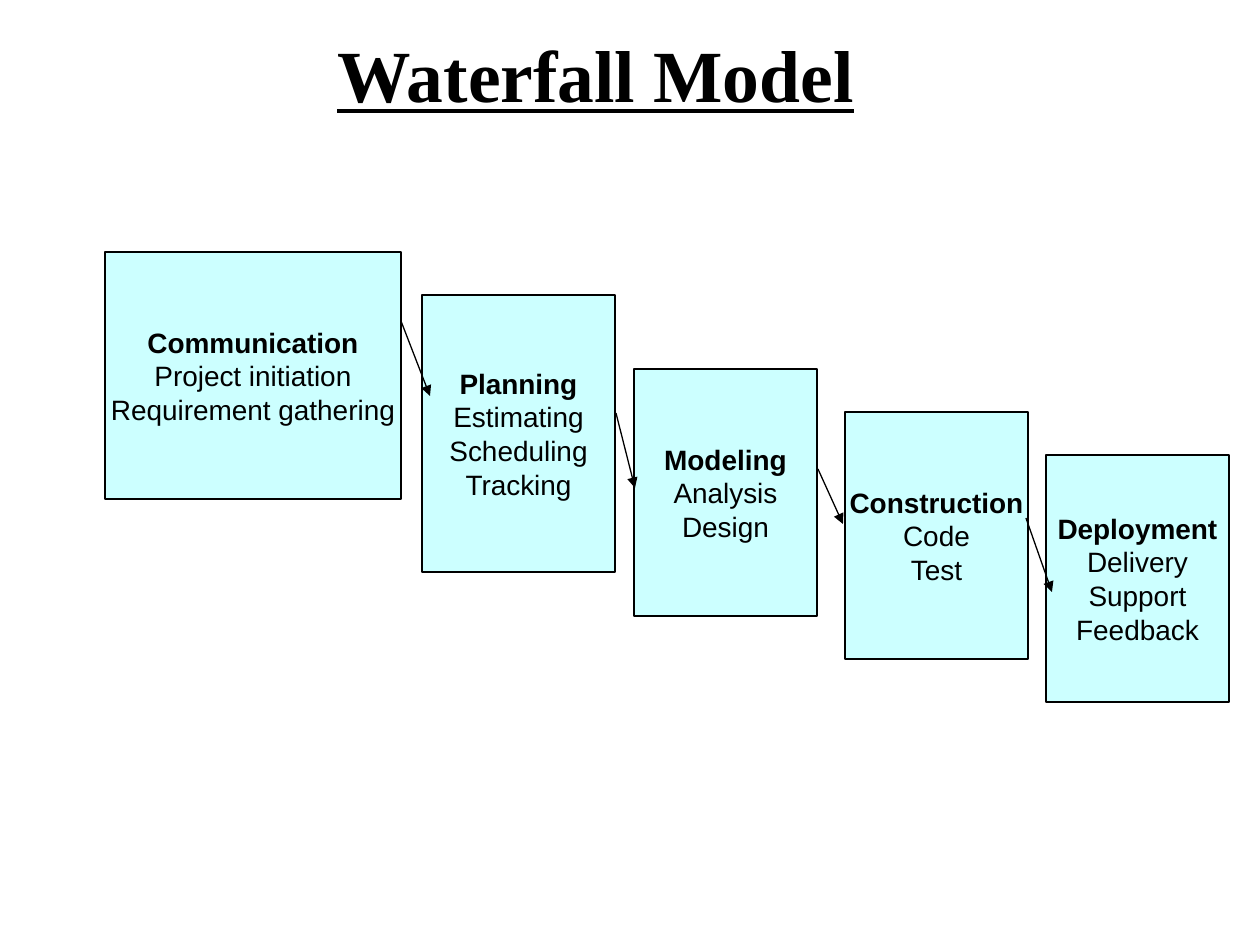
from lxml import etree
from pptx import Presentation
from pptx import util as u
from pptx.dml.color import RGBColor
from pptx.enum import shapes, text
from pptx.oxml.ns import qn

BLACK = RGBColor(0x00, 0x00, 0x00)
WHITE = RGBColor(0xFF, 0xFF, 0xFF)
PALE_CYAN = RGBColor(0xCC, 0xFF, 0xFF)
LINE_WIDTH = u.Pt(0.75)
PX_PER_INCH = 126

STAGES = [
    ((0, 0, 296, 247), "Communication", ["Project initiation", "Requirement gathering"]),
    ((317, 43, 193, 277), "Planning", ["Estimating", "Scheduling", "Tracking"]),
    ((529, 117, 183, 247), "Modeling", ["Analysis", "Design"]),
    ((740, 160, 183, 247), "Construction", ["Code", "Test"]),
    ((941, 203, 183, 247), "Deployment", ["Delivery", "Support", "Feedback"]),
]
ARROWS = [
    (296, 69, 325, 144),
    (511, 161, 530, 236),
    (713, 217, 738, 272),
    (921, 266, 947, 340),
]


def px(*lengths):
    return [u.Inches(length / PX_PER_INCH) for length in lengths]


def add_title(slide, box, title):
    shape = slide.shapes.add_textbox(*px(*box))
    frame = shape.text_frame
    frame.word_wrap = False
    frame.auto_size = text.MSO_AUTO_SIZE.SHAPE_TO_FIT_TEXT
    paragraph = frame.paragraphs[0]
    paragraph.text = title
    font = paragraph.font
    font.name, font.size = "Times New Roman", u.Pt(42)
    font.bold = font.underline = True
    font.color.rgb = BLACK


def add_stage(slide, box, heading, tasks):
    shape = slide.shapes.add_shape(shapes.MSO_SHAPE.RECTANGLE, *px(*box))
    shape.shadow.inherit = False
    shape.fill.solid()
    shape.fill.fore_color.rgb = PALE_CYAN
    shape.line.color.rgb = BLACK
    shape.line.width = LINE_WIDTH
    frame = shape.text_frame
    frame.word_wrap = False
    frame.vertical_anchor = text.MSO_ANCHOR.MIDDLE
    frame.text = "\n".join([heading, *tasks])
    for index, paragraph in enumerate(frame.paragraphs):
        paragraph.alignment = text.PP_ALIGN.CENTER
        font = paragraph.font
        font.name, font.size = "Arial", u.Pt(16)
        font.bold = index == 0
        font.color.rgb = BLACK


def add_arrow(slide, ends):
    connector = slide.shapes.add_connector(shapes.MSO_CONNECTOR.STRAIGHT, *px(*ends))
    connector.line.color.rgb = BLACK
    connector.line.width = LINE_WIDTH
    properties = connector._element.spPr
    etree.SubElement(properties.find(qn("a:ln")), qn("a:tailEnd"), type="triangle")
    etree.SubElement(properties, qn("a:effectLst"))


def add_waterfall(slide, left, top):
    for (x, y, width, height), heading, tasks in STAGES:
        add_stage(slide, (left + x, top + y, width, height), heading, tasks)
    for x1, y1, x2, y2 in ARROWS:
        add_arrow(slide, (left + x1, top + y1, left + x2, top + y2))


def main():
    presentation = Presentation()
    presentation.slide_width, presentation.slide_height = px(1260, 945)
    slide = presentation.slides.add_slide(presentation.slide_layouts[6])
    slide.background.fill.solid()
    slide.background.fill.fore_color.rgb = WHITE
    add_waterfall(slide, 105, 252)
    add_title(slide, (325, 23, 547, 102), "Waterfall Model")
    presentation.save("out.pptx")


if __name__ == "__main__":
    main()
